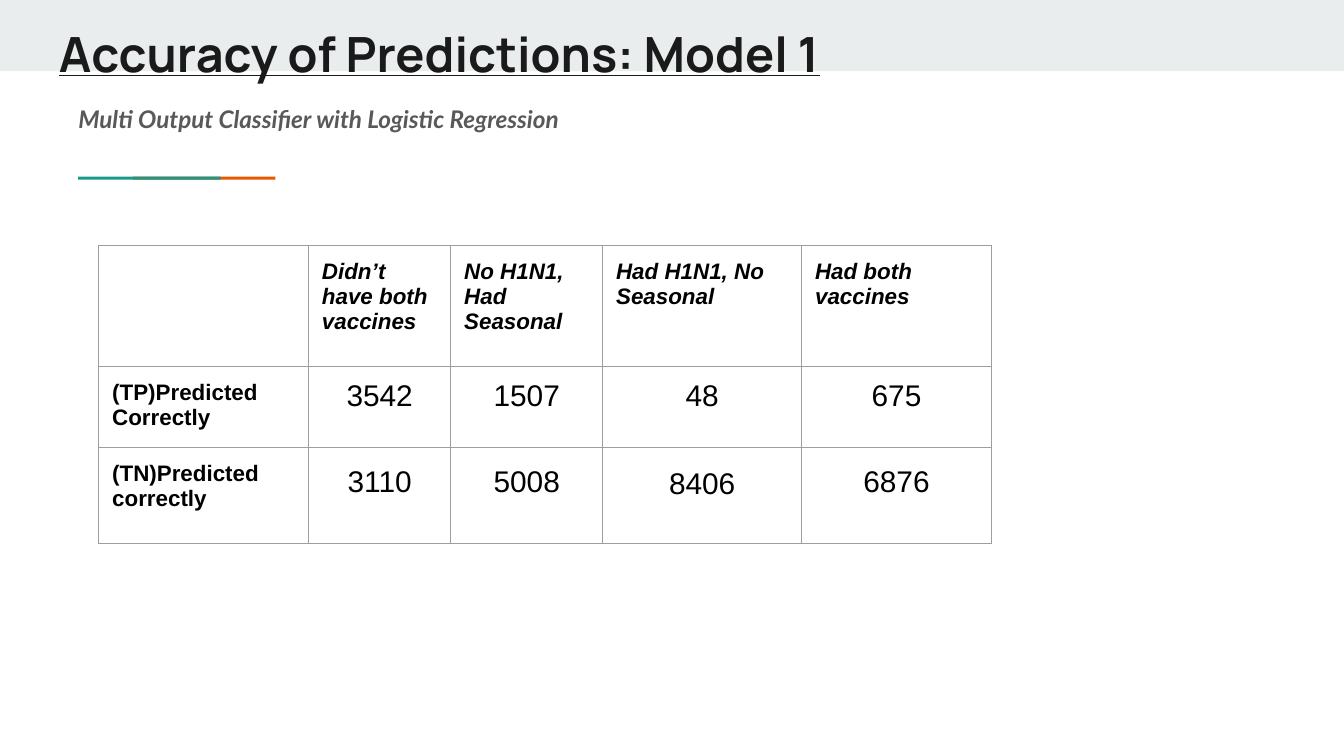
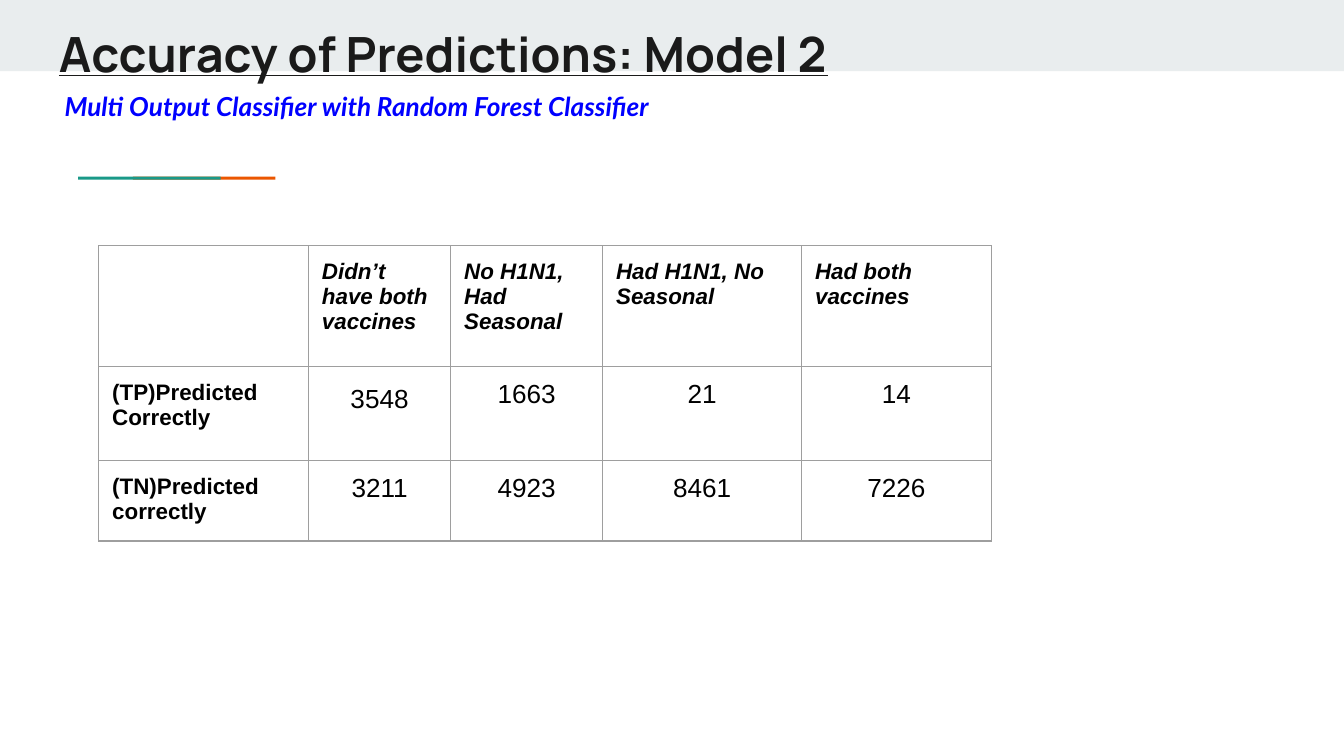
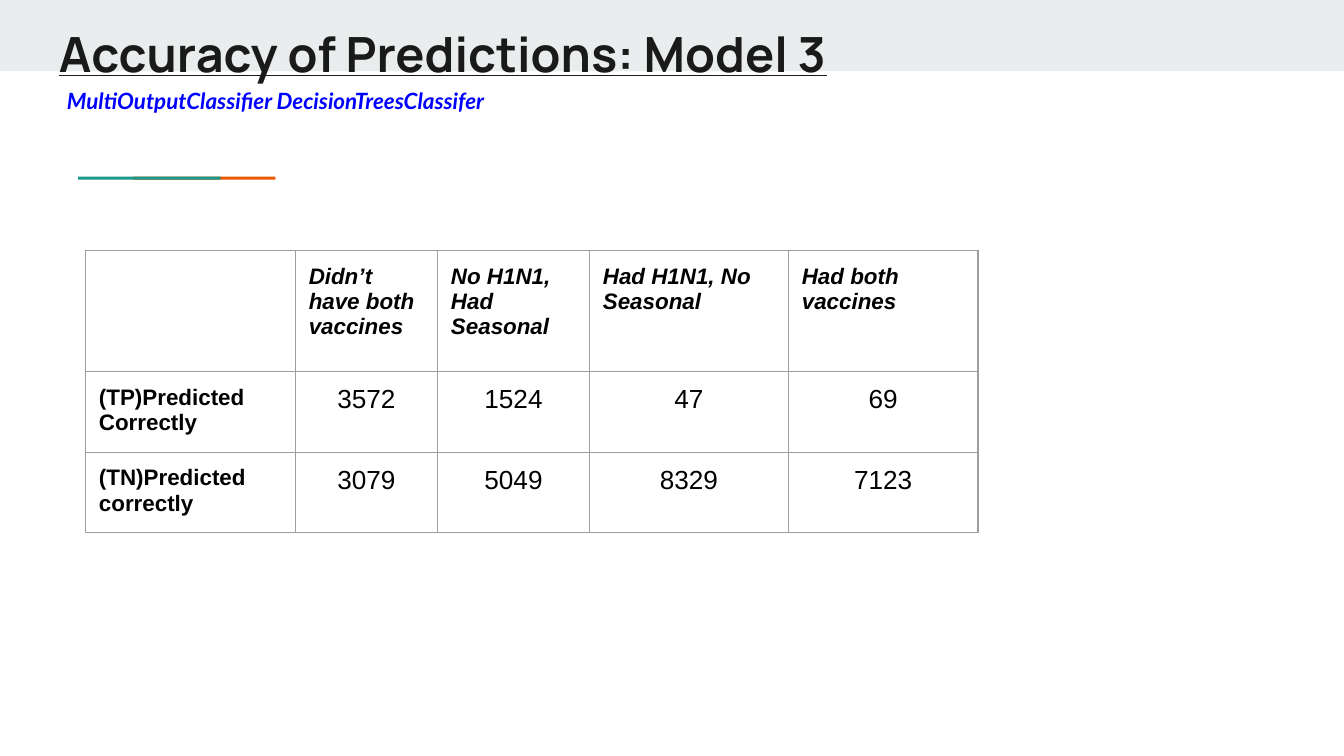
from dataclasses import dataclass, field

from lxml.etree import SubElement
from pptx import Presentation
from pptx.dml.color import RGBColor
from pptx.enum.shapes import MSO_SHAPE
from pptx.enum.text import MSO_ANCHOR, PP_ALIGN
from pptx.oxml.ns import qn
from pptx.slide import Slide
from pptx.table import _Cell
from pptx.text.text import TextFrame
from pptx.util import Pt

# Shared look
BAND, ORANGE, TEAL = "E9EDEE", "EB5600", "1A9988"
INK, GRAY, BLUE, BLACK, RULE = "1A1A1A", "595959", "0000FF", "000000", "9E9E9E"
INSET = 7.2

# Shared table content
HEADINGS = ["", "Didn’t have both vaccines", "No H1N1, Had Seasonal",
            "Had H1N1, No Seasonal", "Had both vaccines"]
ROW_LABELS = ["(TP)Predicted Correctly", "(TN)Predicted correctly"]
COLUMN_WIDTHS = [112.4, 76.2, 81.4, 106.6, 101.6]
HEADING_HEIGHT = 64.8


@dataclass(frozen=True)
class Bar:
    left: float
    top: float
    width: float
    height: float
    color: str


@dataclass(frozen=True)
class Subtitle:
    text: str
    box: tuple[float, float, float, float]
    size: float
    color: str = BLUE
    spacing: float = 1.0


@dataclass(frozen=True)
class Model:
    number: int
    subtitle: Subtitle
    table_at: tuple[float, float]
    row_heights: tuple[float, float]
    counts: list[list[int]]
    count_size: float = 14
    # Line spacing of single counts, by (row, column)
    spacings: dict[tuple[int, int], float] = field(default_factory=dict)


BARS = [
    Bar(0, 0, 720, 38.2, BAND),
    Bar(71.2, 94.7, 76.4, 1.6, ORANGE),
    Bar(41.8, 94.7, 76.4, 1.6, TEAL),
]

MODELS = [
    Model(1, Subtitle("Multi Output Classifier with Logistic Regression",
                      (34.9, 46.1, 579, 33.8), 13, GRAY, 1.15),
          (52.9, 131.6), (41.2, 51.4),
          [[3542, 1507, 48, 675], [3110, 5008, 8406, 6876]], 16,
          {(1, 0): 1.15, (1, 1): 1.15, (1, 2): 1.21, (1, 3): 1.15}),
    Model(2, Subtitle("Multi Output Classifier with Random Forest Classifier",
                      (27.5, 41, 579, 33.8), 14),
          (52.9, 131.6), (50.2, 41.2),
          [[3548, 1663, 21, 14], [3211, 4923, 8461, 7226]],
          spacings={(0, 0): 1.15}),
    Model(3, Subtitle("MultiOutputClassifier DecisionTreesClassifer",
                      (28.8, 39.6, 255, 23.8), 12),
          (45.8, 134.2), (41.2, 41.2),
          [[3572, 1524, 47, 69], [3079, 5049, 8329, 7123]]),
]


def rgb(color: str) -> RGBColor:
    return RGBColor.from_string(color)


def write(frame: TextFrame, text: str, *, size: float, font: str = "Arial",
          color: str = BLACK, bold: bool = False, italic: bool = False,
          underline: bool = False, align: PP_ALIGN = PP_ALIGN.LEFT,
          spacing: float = 1.0) -> None:
    frame.word_wrap = True
    paragraph = frame.paragraphs[0]
    paragraph.alignment = align
    paragraph.line_spacing = spacing
    run = paragraph.add_run()
    run.text = text
    style = run.font
    style.size, style.name = Pt(size), font
    style.bold, style.italic, style.underline = bold, italic, underline
    style.color.rgb = rgb(color)


def add_text(slide: Slide, box: tuple[float, float, float, float],
             text: str, **style) -> None:
    frame = slide.shapes.add_textbox(*map(Pt, box)).text_frame
    frame.margin_left = frame.margin_right = Pt(INSET)
    frame.margin_top = frame.margin_bottom = Pt(INSET)
    frame.vertical_anchor = MSO_ANCHOR.TOP
    write(frame, text, **style)


def add_bar(slide: Slide, bar: Bar) -> None:
    shape = slide.shapes.add_shape(
        MSO_SHAPE.RECTANGLE, Pt(bar.left), Pt(bar.top), Pt(bar.width), Pt(bar.height))
    shape.shadow.inherit = False
    shape.fill.solid()
    shape.fill.fore_color.rgb = rgb(bar.color)
    shape.line.fill.background()


def format_cell(cell: _Cell) -> None:
    cell.margin_left = cell.margin_right = Pt(INSET)
    cell.margin_top = cell.margin_bottom = Pt(INSET)
    cell.fill.background()
    properties = cell._tc.get_or_add_tcPr()
    # Borders come before the fill
    for index, side in enumerate(("a:lnL", "a:lnR", "a:lnT", "a:lnB")):
        border = SubElement(properties, qn(side), w=str(Pt(0.75)))
        fill = SubElement(border, qn("a:solidFill"))
        SubElement(fill, qn("a:srgbClr"), val=RULE)
        properties.insert(index, border)


def add_accuracy_table(slide: Slide, model: Model) -> None:
    heights = [HEADING_HEIGHT, *model.row_heights]
    table = slide.shapes.add_table(
        len(heights), len(COLUMN_WIDTHS), *map(Pt, model.table_at),
        Pt(sum(COLUMN_WIDTHS)), Pt(sum(heights))).table
    table.first_row = table.horz_banding = False
    for column, width in zip(table.columns, COLUMN_WIDTHS):
        column.width = Pt(width)
    for row, height in zip(table.rows, heights):
        row.height = Pt(height)
    for cell in table.iter_cells():
        format_cell(cell)

    for column, heading in enumerate(HEADINGS):
        if heading:
            write(table.cell(0, column).text_frame, heading,
                  size=12, bold=True, italic=True)
    for row, (label, counts) in enumerate(zip(ROW_LABELS, model.counts)):
        write(table.cell(row + 1, 0).text_frame, label, size=12, bold=True)
        for column, count in enumerate(counts):
            write(table.cell(row + 1, column + 1).text_frame, str(count),
                  size=model.count_size, align=PP_ALIGN.CENTER,
                  spacing=model.spacings.get((row, column), 1.0))


def add_model_slide(deck: Presentation, model: Model) -> None:
    slide = deck.slides.add_slide(deck.slide_layouts[6])
    for bar in BARS:
        add_bar(slide, bar)
    add_text(slide, (24.5, 5.8, 671, 45.4),
             f"Accuracy of Predictions: Model {model.number}",
             size=26, font="Manrope", color=INK, bold=True, underline=True)
    subtitle = model.subtitle
    add_text(slide, subtitle.box, subtitle.text, size=subtitle.size, font="Lato",
             color=subtitle.color, bold=True, italic=True, spacing=subtitle.spacing)
    add_accuracy_table(slide, model)


def main() -> None:
    deck = Presentation()
    deck.slide_width, deck.slide_height = Pt(720), Pt(405)
    for model in MODELS:
        add_model_slide(deck, model)
    deck.save("out.pptx")


if __name__ == "__main__":
    main()
